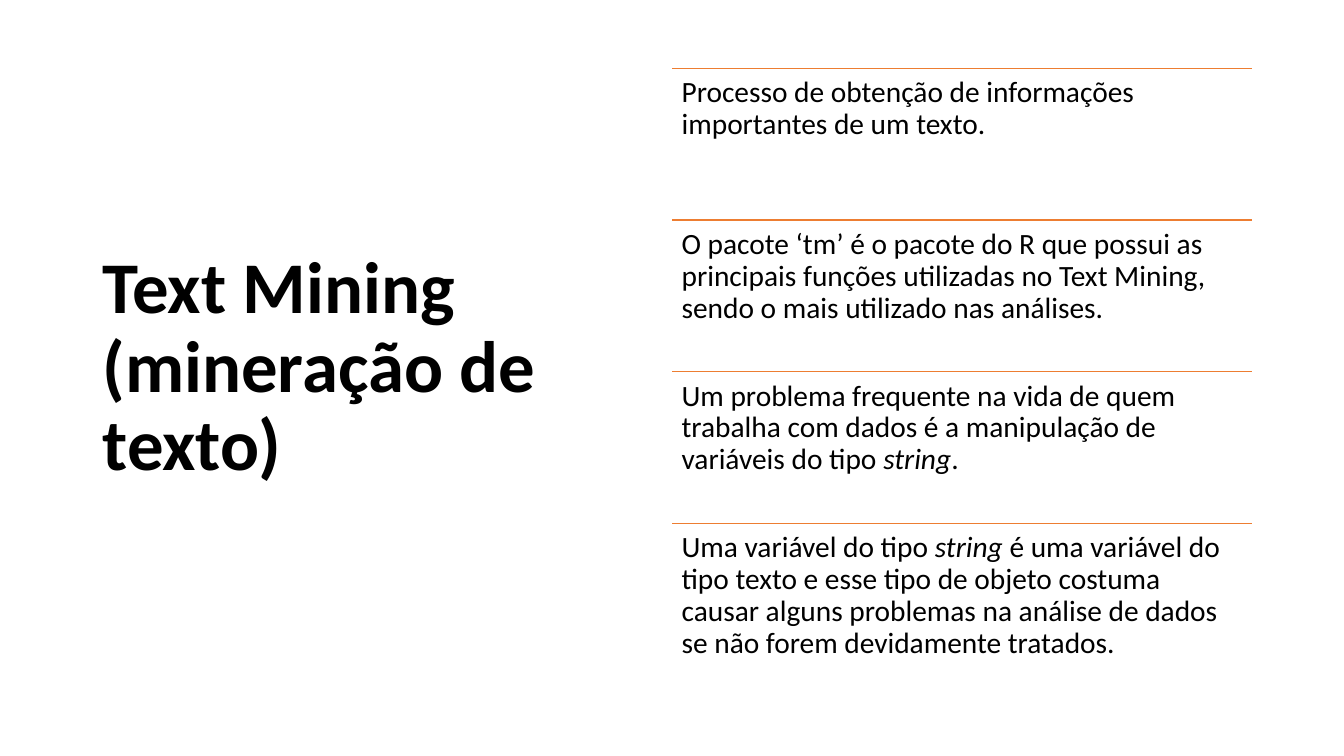
from lxml.etree import SubElement
from pptx import Presentation
from pptx.dml.color import RGBColor
from pptx.enum.shapes import MSO_CONNECTOR
from pptx.enum.text import MSO_ANCHOR
from pptx.oxml.ns import qn
from pptx.util import Inches, Pt

FONT = "Calibri"
BLACK = "000000"
ORANGE = "ED7D31"

LIST_LEFT, LIST_TOP, LIST_WIDTH = 6.67, 0.68, 5.75
ROW_HEIGHT = 1.504

TITLE = "Text Mining (mineração de texto)"

# Each topic is a list of (text, italic) runs.
TOPICS = [
    [("Processo de obtenção de informações importantes de um texto.", False)],
    [("O pacote ‘tm’ é o pacote do R que possui as principais funções "
      "utilizadas no Text Mining, sendo o mais utilizado nas análises.", False)],
    [("Um problema frequente na vida de quem trabalha com dados é a "
      "manipulação de variáveis do tipo ", False),
     ("string", True),
     (".", False)],
    [("Uma variável do tipo ", False),
     ("string", True),
     (" é uma variável do tipo texto e esse tipo de objeto costuma causar "
      "alguns problemas na análise de dados se não forem devidamente "
      "tratados.", False)],
]


def rgb(color):
    return RGBColor.from_string(color)


def add_text(s, left, top, width, height, runs, size, bold=False,
             anchor=MSO_ANCHOR.TOP, inset=None):
    """Add a one-paragraph text box made of (text, italic) runs."""
    sp = s.shapes.add_textbox(Inches(left), Inches(top),
                              Inches(width), Inches(height))
    tf = sp.text_frame
    tf.word_wrap = True
    tf.vertical_anchor = anchor
    if inset is not None:
        tf.margin_left = tf.margin_right = Inches(inset)
        tf.margin_top = tf.margin_bottom = Inches(inset)
    p = tf.paragraphs[0]
    p.line_spacing = 0.9
    for text, italic in runs:
        r = p.add_run()
        r.text = text
        r.font.name = FONT
        r.font.size = Pt(size)
        r.font.bold = bold
        r.font.italic = italic
        r.font.color.rgb = rgb(BLACK)


def add_rule(s, left, top, width):
    line = s.shapes.add_connector(MSO_CONNECTOR.STRAIGHT,
                                  Inches(left), Inches(top),
                                  Inches(left + width), Inches(top))
    line.line.color.rgb = rgb(ORANGE)
    line.line.width = Pt(1)
    SubElement(line._element.spPr, qn("a:effectLst"))


def add_topic(s, top, runs):
    add_rule(s, LIST_LEFT, top, LIST_WIDTH)
    add_text(s, LIST_LEFT, top, LIST_WIDTH, ROW_HEIGHT, runs, 21, inset=0.09)


def main():
    prs = Presentation()
    prs.slide_width, prs.slide_height = Inches(13.33), Inches(7.5)
    s = prs.slides.add_slide(prs.slide_layouts[6])

    add_text(s, 0.92, 0.61, 5.32, 6.09, [(TITLE, False)], 52, bold=True,
             anchor=MSO_ANCHOR.MIDDLE)
    for i, runs in enumerate(TOPICS):
        add_topic(s, LIST_TOP + i * ROW_HEIGHT, runs)

    prs.save("out.pptx")


if __name__ == "__main__":
    main()
